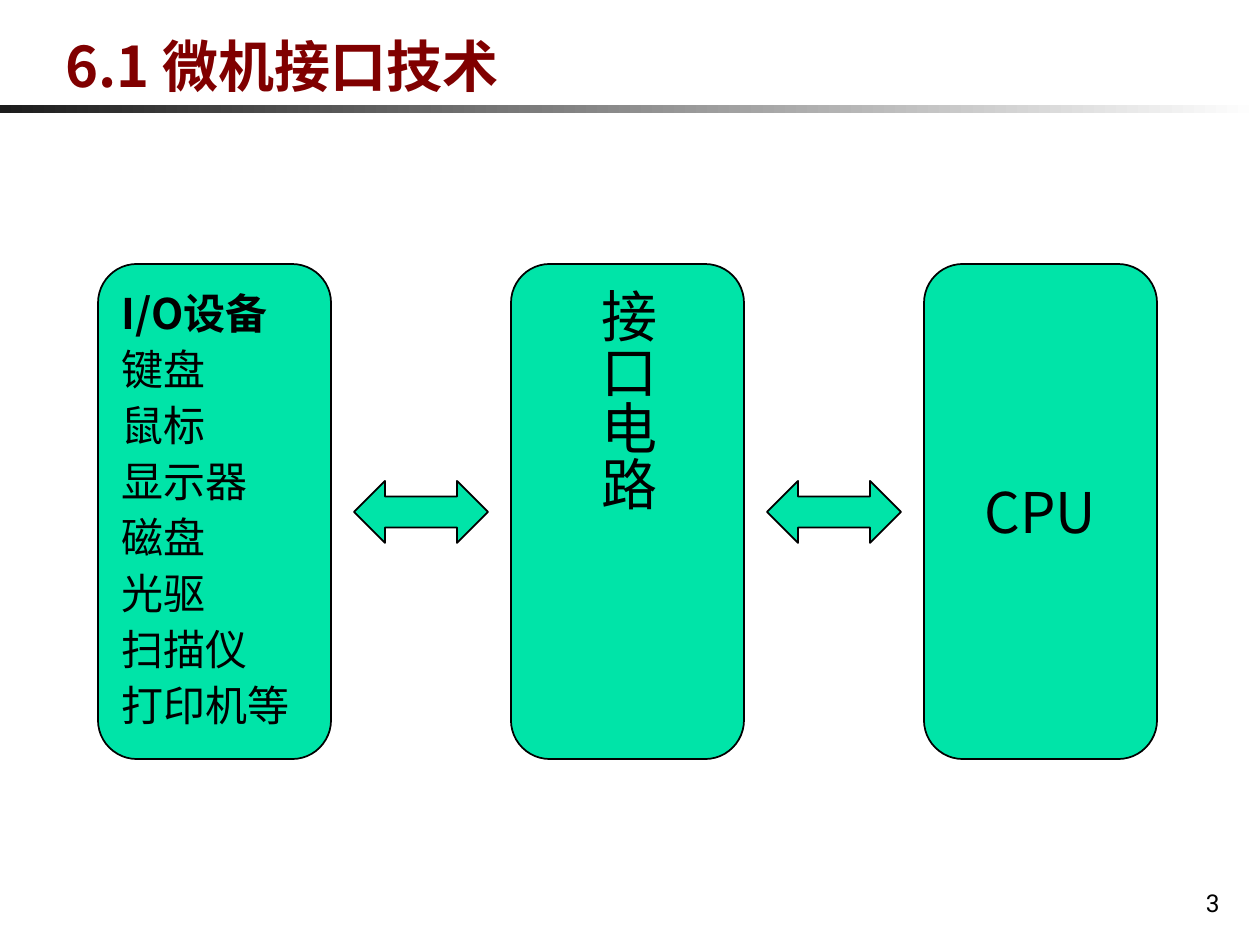
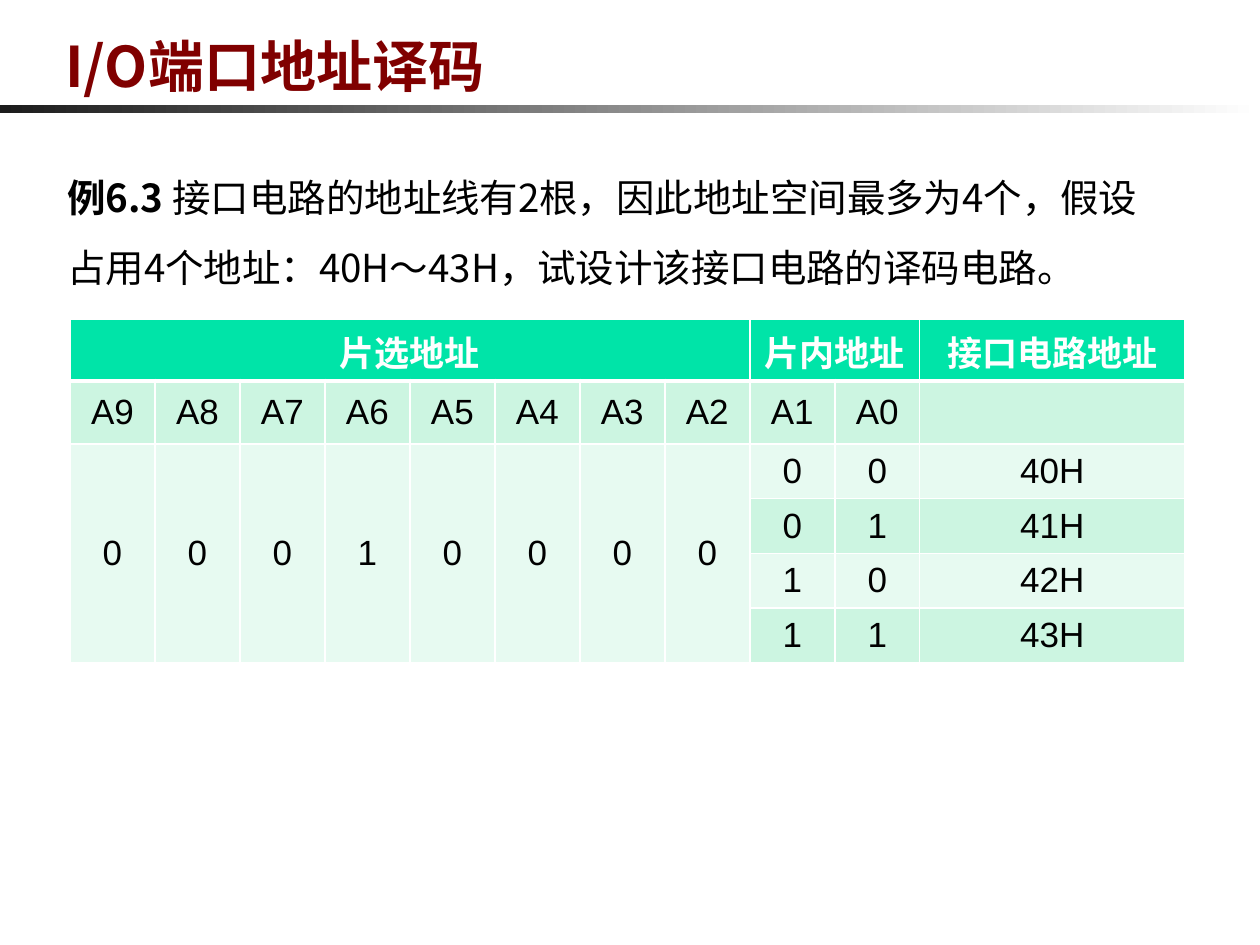
from dataclasses import dataclass

import lxml.etree
import pptx
import pptx.dml.color
import pptx.enum.shapes
import pptx.enum.text
import pptx.oxml.ns
import pptx.slide
import pptx.table
import pptx.text.text
import pptx.util

PX_PER_INCH = 126
GREEN, BAND_DARK, BAND_LIGHT = "00E4A8", "CCF5E1", "E7FAF1"
BLACK, WHITE, MAROON, CHARCOAL = "000000", "FFFFFF", "800000", "1C1C1C"
CJK = "Noto Sans CJK SC"
LEFT = pptx.enum.text.PP_ALIGN.LEFT
CENTER = pptx.enum.text.PP_ALIGN.CENTER
RIGHT = pptx.enum.text.PP_ALIGN.RIGHT
TOP = pptx.enum.text.MSO_ANCHOR.TOP
MIDDLE = pptx.enum.text.MSO_ANCHOR.MIDDLE
BOTTOM = pptx.enum.text.MSO_ANCHOR.BOTTOM
SHAPE = pptx.enum.shapes.MSO_SHAPE


@dataclass(frozen=True)
class Box:
    left: int
    top: int
    width: int
    height: int

    def emu(self) -> list[int]:
        return [px(v) for v in (self.left, self.top, self.width, self.height)]


@dataclass(frozen=True)
class Style:
    size: int
    color: str = BLACK
    bold: bool = False
    font: str = CJK
    align: int = LEFT
    anchor: int = TOP


@dataclass(frozen=True)
class Block:
    text: str
    style: Style
    vertical: bool = False


@dataclass(frozen=True)
class Cell:
    row: int
    col: int
    text: str
    rows: int = 1
    cols: int = 1


TITLE = Style(32, MAROON, True, anchor=BOTTOM)
PAGE_NUMBER = Style(14, font="Roboto", align=RIGHT, anchor=BOTTOM)
BODY = Style(22)
DEVICES = Style(24)
TABLE_HEAD = Style(20, WHITE, True, "Arial", CENTER, MIDDLE)
TABLE_BODY = Style(20, font="Arial", align=CENTER, anchor=MIDDLE)


def px(value: int) -> int:
    return pptx.util.Inches(value / PX_PER_INCH)


def rgb(color: str) -> pptx.dml.color.RGBColor:
    return pptx.dml.color.RGBColor.from_string(color)


def format_run(r: pptx.text.text._Run, style: Style) -> None:
    r.font.size = pptx.util.Pt(style.size)
    r.font.bold = style.bold
    r.font.name = style.font
    r.font.color.rgb = rgb(style.color)
    ea = lxml.etree.SubElement(r.font._element, pptx.oxml.ns.qn("a:ea"))
    ea.set("typeface", CJK)


def set_text(tf: pptx.text.text.TextFrame, text: str, style: Style) -> None:
    tf.text = text
    tf.word_wrap = True
    tf.vertical_anchor = style.anchor
    for p in tf.paragraphs:
        p.alignment = style.align
        for r in p.runs:
            format_run(r, style)


def add_text(s: pptx.slide.Slide, box: Box, text: str,
             style: Style) -> pptx.text.text.TextFrame:
    tf = s.shapes.add_textbox(*box.emu()).text_frame
    set_text(tf, text, style)
    return tf


def add_green_shape(s: pptx.slide.Slide, kind: int,
                    box: Box) -> pptx.text.text.TextFrame:
    sp = s.shapes.add_shape(kind, *box.emu())
    sp.shadow.inherit = False
    sp.fill.solid()
    sp.fill.fore_color.rgb = rgb(GREEN)
    sp.line.color.rgb = rgb(BLACK)
    sp.line.width = pptx.util.Pt(1)
    return sp.text_frame


def add_slide(prs, title: str) -> pptx.slide.Slide:
    s = prs.slides.add_slide(prs.slide_layouts[6])
    band = s.shapes.add_shape(SHAPE.RECTANGLE, *Box(0, 105, 1260, 8).emu())
    band.shadow.inherit = False
    band.line.fill.background()
    band.fill.gradient()
    band.fill.gradient_angle = 0
    for stop, color in zip(band.fill.gradient_stops, (CHARCOAL, WHITE)):
        stop.color.rgb = rgb(color)
    add_text(s, Box(53, 19, 1074, 86), title, TITLE)
    return s


def add_interface_diagram(s: pptx.slide.Slide) -> None:
    left, pitch, arrow_offset = 98, 413, 256
    devices = "I/O设备\n键盘\n鼠标\n显示器\n磁盘\n光驱\n扫描仪\n打印机等"
    blocks = [
        Block(devices, DEVICES),
        Block("接口电路", Style(32, anchor=MIDDLE), vertical=True),
        Block("CPU", Style(32, align=CENTER, anchor=MIDDLE)),
    ]
    frames = []
    for i, block in enumerate(blocks):
        tf = add_green_shape(s, SHAPE.ROUNDED_RECTANGLE,
                             Box(left + i * pitch, 264, 233, 495))
        set_text(tf, block.text, block.style)
        if block.vertical:
            tf._txBody.bodyPr.set("vert", "eaVert")
        frames.append(tf)
    for p in frames[0].paragraphs:
        p.line_spacing = pptx.util.Pt(32)
    frames[0].paragraphs[0].runs[0].font.bold = True
    for i in range(len(blocks) - 1):
        add_green_shape(s, SHAPE.LEFT_RIGHT_ARROW,
                        Box(left + arrow_offset + i * pitch, 481, 134, 62))


def add_example(s: pptx.slide.Slide) -> None:
    tf = add_text(s, Box(55, 145, 1128, 674), "例6.3 ", BODY)
    p = tf.paragraphs[0]
    p.runs[0].font.bold = True
    r = p.add_run()
    r.text = ("接口电路的地址线有2根，因此地址空间最多为4个，"
              "假设占用4个地址：40H～43H，试设计该接口电路的译码电路。")
    format_run(r, BODY)
    p.line_spacing = 1.5
    p.space_before = pptx.util.Pt(4.4)
    p.space_after = pptx.util.Pt(6)


def set_border(cell: pptx.table._Cell, side: str, width: int) -> None:
    qn = pptx.oxml.ns.qn
    tc_pr = cell._tc.get_or_add_tcPr()
    ln = lxml.etree.SubElement(tc_pr, qn(f"a:ln{side}"))
    ln.set("w", str(pptx.util.Pt(width)))
    fill = lxml.etree.SubElement(ln, qn("a:solidFill"))
    lxml.etree.SubElement(fill, qn("a:srgbClr")).set("val", WHITE)


def paint_cell(cell: pptx.table._Cell, row: int) -> None:
    widths = {"L": 1, "R": 1, "T": 3 if row == 1 else 1,
              "B": 3 if row == 0 else 1}
    for side, width in widths.items():
        set_border(cell, side, width)
    cell.fill.solid()
    band = BAND_DARK if row % 2 else BAND_LIGHT
    cell.fill.fore_color.rgb = rgb(band if row else GREEN)


def address_cells() -> list[Cell]:
    cells = [Cell(0, 0, "片选地址", cols=8), Cell(0, 8, "片内地址", cols=2),
             Cell(0, 10, "接口电路地址")]
    cells += [Cell(1, col, f"A{9 - col}") for col in range(10)]
    cells += [Cell(2, col, bit, rows=4) for col, bit in enumerate("00010000")]
    for n in range(4):
        values = (*f"{n:02b}", f"{0x40 + n:X}H")
        cells += [Cell(2 + n, 8 + i, v) for i, v in enumerate(values)]
    return cells


def add_address_table(s: pptx.slide.Slide) -> None:
    col_widths = [85] * 10 + [265]
    row_heights = [62, 63] + [52] * 4
    box = Box(70, 319, sum(col_widths), sum(row_heights))
    table = s.shapes.add_table(len(row_heights), len(col_widths),
                               *box.emu()).table
    for col, width in zip(table.columns, col_widths):
        col.width = px(width)
    for i, height in enumerate(row_heights):
        table.rows[i].height = px(height)
        for cell in table.rows[i].cells:
            paint_cell(cell, i)
    for c in address_cells():
        cell = table.cell(c.row, c.col)
        if c.rows * c.cols > 1:
            cell.merge(table.cell(c.row + c.rows - 1, c.col + c.cols - 1))
        style = TABLE_BODY if c.row else TABLE_HEAD
        set_text(cell.text_frame, c.text, style)
        cell.vertical_anchor = style.anchor


def main() -> None:
    prs = pptx.Presentation()
    prs.slide_width = px(1260)
    prs.slide_height = px(945)

    s = add_slide(prs, "6.1 微机接口技术")
    add_interface_diagram(s)
    add_text(s, Box(970, 861, 262, 63), "3", PAGE_NUMBER)

    s = add_slide(prs, "I/O端口地址译码")
    add_example(s)
    add_address_table(s)

    prs.save("out.pptx")


if __name__ == "__main__":
    main()
